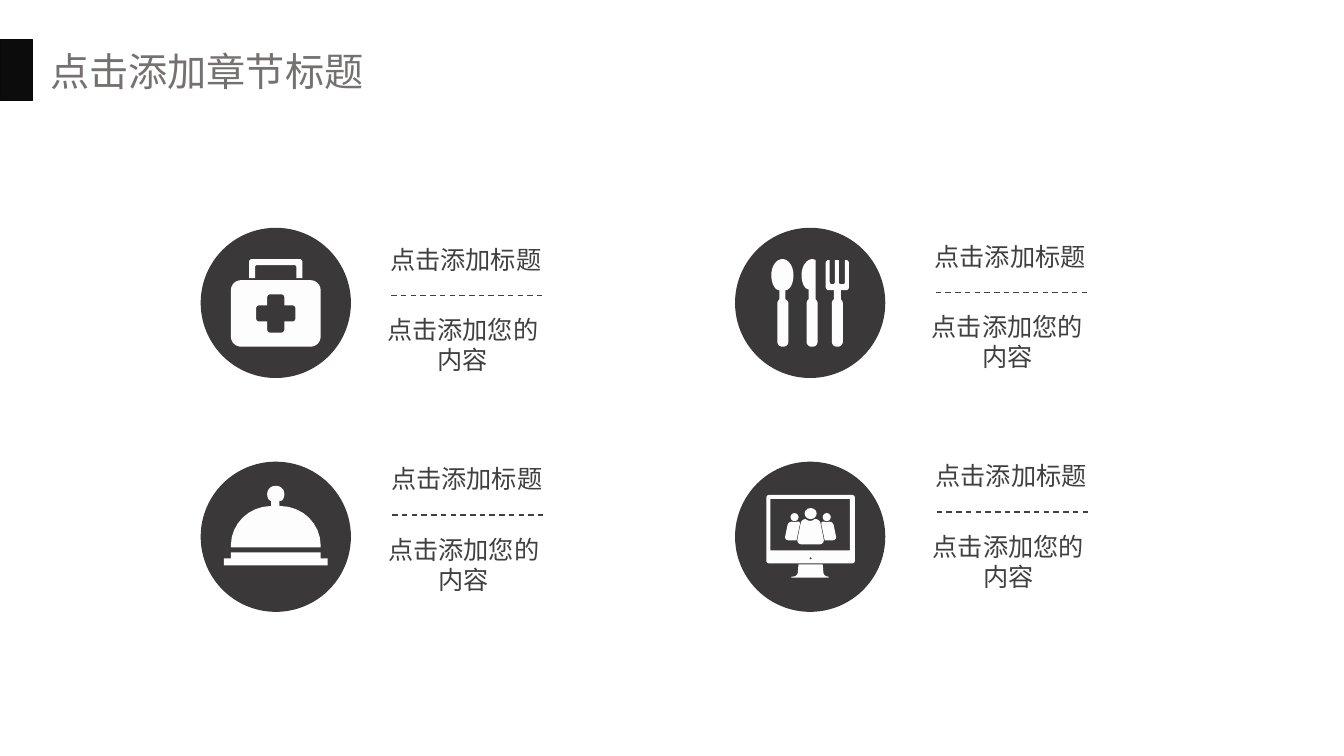
from dataclasses import dataclass
from typing import NamedTuple

from lxml.etree import SubElement
from pptx import Presentation
from pptx.dml.color import RGBColor
from pptx.enum.dml import MSO_LINE
from pptx.enum.shapes import MSO_CONNECTOR, MSO_SHAPE
from pptx.enum.text import MSO_AUTO_SIZE, PP_ALIGN
from pptx.oxml.ns import qn
from pptx.util import Inches, Pt


@dataclass(frozen=True)
class Theme:
    font: str = "Noto Sans CJK SC"
    banner: str = "0C0C0C"
    banner_edge: str = "090909"
    heading: str = "767171"
    body: str = "404040"
    disc: str = "3A3838"
    glyph: str = "FDFDFD"
    heading_size: int = 28
    body_size: int = 18


class Corner(NamedTuple):
    """A vertex, rounded over the given lengths of its two edges."""
    x: float
    y: float
    before: float = 0
    after: float | None = None


class Dot(NamedTuple):
    left: float
    top: float
    width: float
    height: float


Outline = list[Corner]


@dataclass(frozen=True)
class Icon:
    column: int
    row: int
    glyphs: list[list[Outline] | Dot]  # the first outline is solid, the rest are holes


THEME = Theme()
DISC_SIZE = 1.49
DISC_LEFT, DISC_TOP, DISC_STEP_X, DISC_STEP_Y = 1.99, 2.26, 5.3, 2.32
CURVE_STEPS = 8


def outline(*corners: tuple[float, ...]) -> Outline:
    return [Corner(*corner) for corner in corners]


def box(left: float, top: float, right: float, bottom: float, radius: float = 0) -> Outline:
    return outline((left, top, radius), (right, top, radius),
                   (right, bottom, radius), (left, bottom, radius))


def mirrored(corners: Outline, axis: float) -> Outline:
    return [Corner(2 * axis - x, y, before, after) for x, y, before, after in corners]


# First-aid kit
KIT_CROSS = outline(
    (2.65, 2.92, .03), (2.82, 2.92, .03), (2.82, 3.03), (2.93, 3.03, .03),
    (2.93, 3.19, .03), (2.82, 3.19), (2.82, 3.3, .03), (2.65, 3.3, .03),
    (2.65, 3.19), (2.54, 3.19, .03), (2.54, 3.03, .03), (2.65, 3.03))
KIT_HANDLE = outline(
    (2.47, 2.76), (2.47, 2.57, .03), (3, 2.57, .03), (3, 2.76),
    (2.94, 2.76), (2.94, 2.63, .02), (2.53, 2.63, .02), (2.53, 2.76))

# Cutlery
FORK = outline(
    (8.19, 2.58, .03), (8.23, 2.58), (8.23, 2.82, .02), (8.28, 2.82, .02),
    (8.28, 2.58), (8.32, 2.58), (8.32, 2.82, .02), (8.38, 2.82, .02),
    (8.38, 2.58), (8.42, 2.58, .03), (8.42, 2.88, .03), (8.34, 2.88),
    (8.34, 2.97), (8.36, 2.99, .02), (8.36, 3.44, .05), (8.25, 3.44, .05),
    (8.25, 2.99, .02), (8.27, 2.97), (8.27, 2.88), (8.19, 2.88, .03))
SPOON = outline(
    (7.65, 2.57, .16, .11), (7.87, 2.57, .11, .16), (7.87, 2.88, .15, .08),
    (7.79, 2.88), (7.79, 2.97), (7.82, 2.99, .02), (7.82, 3.44, .05),
    (7.71, 3.44, .05), (7.71, 2.99, .02), (7.73, 2.97), (7.73, 2.88),
    (7.65, 2.88, .08, .15))
KNIFE = outline(
    (7.95, 2.57, .16, .11), (8.06, 2.57), (8.09, 2.58), (8.09, 2.97),
    (8.11, 2.99, .02), (8.11, 3.44, .05), (8, 3.44, .05), (8, 2.99, .02),
    (8.02, 2.97), (8.02, 2.87), (7.95, 2.87, .07, .14))

# Monitor with a team on its screen
STAND = outline(
    (7.92, 5.6), (8.16, 5.6), (8.17, 5.72, .04), (8.22, 5.72), (8.22, 5.73),
    (7.85, 5.73), (7.85, 5.72), (7.91, 5.72, .04))
MONITOR = [box(7.6, 4.91, 8.48, 5.59, .03), box(7.64, 4.95, 8.43, 5.46),
           box(8.03, 5.53, 8.05, 5.55, .01)]
SIDE_PERSON = outline(
    (8.14, 5.17, .03), (8.2, 5.18), (8.26, 5.17, .04), (8.3, 5.36, .04), (8.18, 5.36))
FRONT_PERSON = outline(
    (7.95, 5.15, .04), (7.99, 5.15), (8.04, 5.18, .04), (8.08, 5.15),
    (8.13, 5.15, .04), (8.18, 5.4, .05), (7.9, 5.4, .05))

# Serving dish
DISH_COVER = outline(
    (2.29, 5.43), (2.29, 5.02, .39, .4), (2.69, 5.02), (2.69, 4.97),
    (2.65, 4.97, .04, .07), (2.65, 4.82, .08), (2.82, 4.82, .08),
    (2.82, 4.97, .07, .04), (2.77, 4.97), (2.77, 5.02),
    (3.18, 5.02, .4, .39), (3.18, 5.43))
DISH_TRAY = outline(
    (3.18, 5.54), (3.18, 5.48), (2.29, 5.48), (2.29, 5.54),
    (2.22, 5.54), (2.22, 5.61), (3.25, 5.61), (3.25, 5.54))

ICONS = [
    Icon(0, 0, [[box(2.29, 2.78, 3.18, 3.44, .1), KIT_CROSS], [KIT_HANDLE]]),
    Icon(1, 0, [[FORK], [SPOON], [KNIFE]]),
    Icon(1, 1, [[STAND], MONITOR, Dot(8.16, 5.09, .08, .08), Dot(7.84, 5.09, .08, .08),
                [SIDE_PERSON], [mirrored(SIDE_PERSON, 8.04)], [FRONT_PERSON],
                Dot(7.98, 5.04, .12, .11)]),
    Icon(0, 1, [[DISH_COVER], [DISH_TRAY]]),
]


def toward(start: Corner, end: Corner, length: float) -> tuple[float, float]:
    dx, dy = end.x - start.x, end.y - start.y
    share = length / (dx * dx + dy * dy) ** .5
    return start.x + dx * share, start.y + dy * share


def rounded(corners: Outline) -> list[tuple[int, int]]:
    """Trace the outline, turning each rounded corner along a cubic curve."""
    points = []
    for i, corner in enumerate(corners):
        after = corner.before if corner.after is None else corner.after
        entry = toward(corner, corners[i - 1], corner.before)
        leave = toward(corner, corners[(i + 1) % len(corners)], after)
        steps = CURVE_STEPS if corner.before else 0
        for step in range(steps + 1):
            t = step / CURVE_STEPS
            u = 1 - t
            # Control points lie 0.55 of the way to the corner
            a = u ** 3 + 1.35 * u * u * t
            b = t ** 3 + 1.35 * u * t * t
            points.append(tuple(
                Inches(a * p + b * q + (1 - a - b) * c)
                for p, q, c in zip(entry, leave, corner[:2])))
    return points


def paint(shape, color: str) -> None:
    shape.shadow.inherit = False
    shape.fill.solid()
    shape.fill.fore_color.rgb = RGBColor.from_string(color)
    shape.line.fill.background()


def add_preset(shapes, kind: MSO_SHAPE, place: Dot, color: str):
    shape = shapes.add_shape(kind, *map(Inches, place))
    paint(shape, color)
    return shape


def add_outlines(shapes, outlines: list[Outline], color: str) -> None:
    first, *holes = map(rounded, outlines)
    builder = shapes.build_freeform(*first[0])
    builder.add_line_segments(first[1:])
    for hole in holes:
        builder.move_to(*hole[0])
        builder.add_line_segments(hole[1:])
    paint(builder.convert_to_shape(), color)


def add_text(shapes, place: Dot, text: str, size: int, color: str, centred: bool = False) -> None:
    frame = shapes.add_textbox(*map(Inches, place)).text_frame
    frame.text = text
    frame.word_wrap = centred
    frame.auto_size = MSO_AUTO_SIZE.SHAPE_TO_FIT_TEXT
    paragraph = frame.paragraphs[0]
    if centred:
        paragraph.alignment = PP_ALIGN.CENTER
    font = paragraph.runs[0].font
    font.size, font.name = Pt(size), THEME.font
    font.color.rgb = RGBColor.from_string(color)
    SubElement(paragraph.runs[0]._r.rPr, qn("a:ea"), typeface=THEME.font)


def add_icon(shapes, icon: Icon) -> None:
    group = shapes.add_group_shape().shapes
    disc = Dot(DISC_LEFT + icon.column * DISC_STEP_X, DISC_TOP + icon.row * DISC_STEP_Y,
               DISC_SIZE, DISC_SIZE)
    add_preset(group, MSO_SHAPE.OVAL, disc, THEME.disc)
    for glyph in icon.glyphs:
        if isinstance(glyph, Dot):
            add_preset(group, MSO_SHAPE.OVAL, glyph, THEME.glyph)
        else:
            add_outlines(group, glyph, THEME.glyph)


def add_caption(shapes, left: float, top: float) -> None:
    group = shapes.add_group_shape().shapes
    add_text(group, Dot(left, top, 1.72, .4), "点击添加标题", THEME.body_size, THEME.body)
    add_text(group, Dot(left - .15, top + .7, 1.94, .71), "点击添加您的内容",
             THEME.body_size, THEME.body, centred=True)
    divider = group.add_connector(MSO_CONNECTOR.STRAIGHT, Inches(left + .11), Inches(top + .56),
                                  Inches(left + 1.61), Inches(top + .56))
    divider.line.color.rgb = RGBColor.from_string(THEME.body)
    divider.line.width = Pt(1)
    divider.line.dash_style = MSO_LINE.DASH
    SubElement(divider._element.spPr, qn("a:effectLst"))


def main() -> None:
    deck = Presentation()
    deck.slide_width, deck.slide_height = Inches(13.33), Inches(7.5)
    shapes = deck.slides.add_slide(deck.slide_layouts[6]).shapes

    # Heading
    banner = add_preset(shapes, MSO_SHAPE.RECTANGLE, Dot(0, .39, .32, .61), THEME.banner)
    banner.line.color.rgb = RGBColor.from_string(THEME.banner_edge)
    banner.line.width = Pt(1)
    add_text(shapes, Dot(.4, .42, 3.34, .57), "点击添加章节标题", THEME.heading_size, THEME.heading)

    # Icons and their captions
    for icon in ICONS:
        add_icon(shapes, icon)
    for column in range(2):
        for row in range(2):
            add_caption(shapes, 3.77 + 5.4 * column + .01 * row, 2.37 - .03 * column + 2.18 * row)

    deck.save("out.pptx")


if __name__ == "__main__":
    main()
